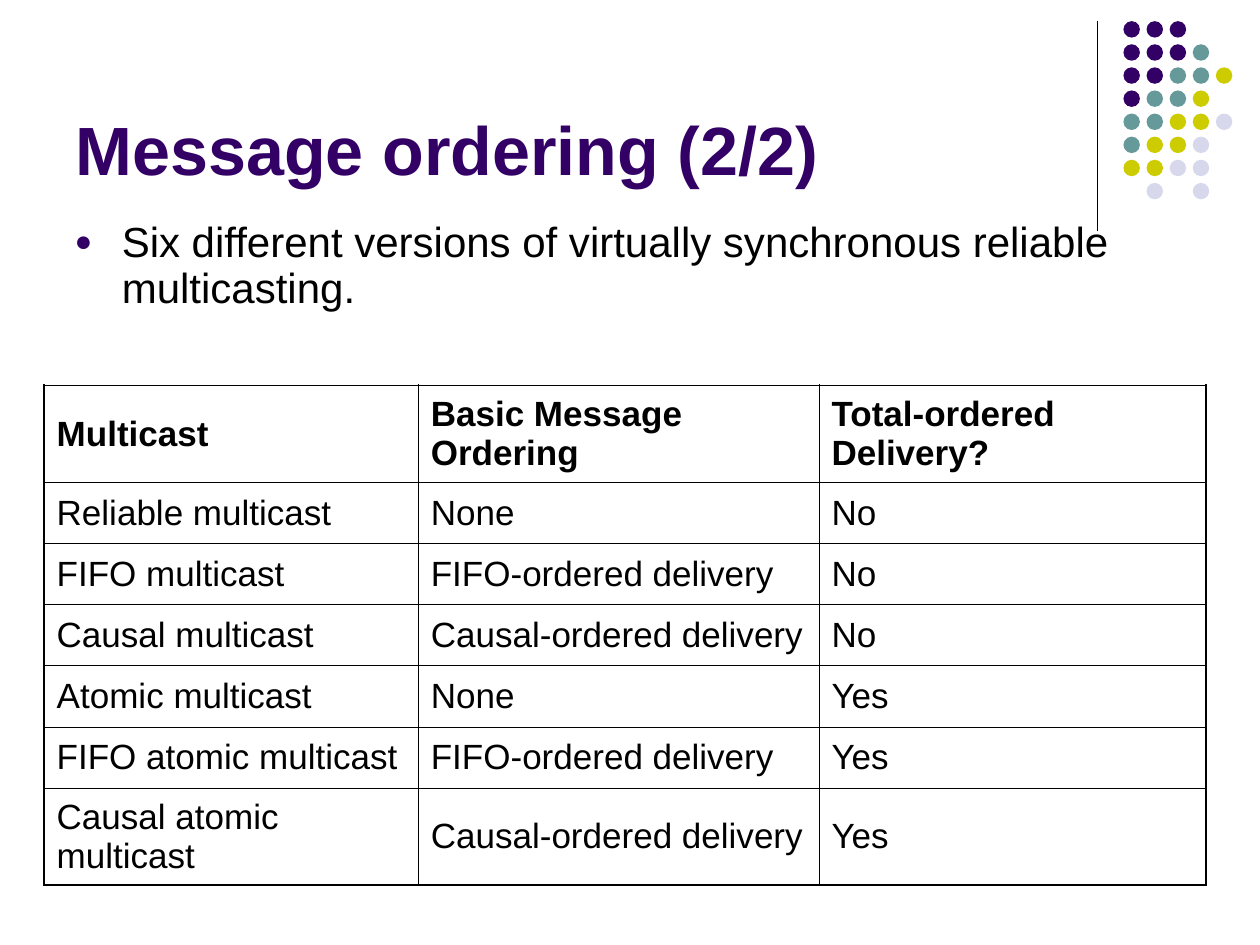
"""Build the message ordering slide with its dot motif, bullet and multicast table."""
import lxml.etree
import pptx
import pptx.dml.color
import pptx.enum.shapes
import pptx.enum.text
import pptx.oxml
import pptx.oxml.ns
import pptx.util

Pt = pptx.util.Pt
MIDDLE = pptx.enum.text.MSO_ANCHOR.MIDDLE
COLORS = {
    "purple": "330066",
    "teal": "669999",
    "yellow": "CCCC00",
    "lavender": "D8D8EC",
    "black": "000000",
}
DOT_COLORS = {"P": "purple", "T": "teal", "Y": "yellow", "L": "lavender"}
DOT_ROWS = ["PPP", "PPPT", "PPTTY", "PTTY", "TTYYL", "TYYL", "YYLL", " L L"]
TABLE_ROWS = [
    ["Multicast", "Basic Message Ordering", "Total-ordered Delivery?"],
    ["Reliable multicast", "None", "No"],
    ["FIFO multicast", "FIFO-ordered delivery", "No"],
    ["Causal multicast", "Causal-ordered delivery", "No"],
    ["Atomic multicast", "None", "Yes"],
    ["FIFO atomic multicast", "FIFO-ordered delivery", "Yes"],
    ["Causal atomic multicast", "Causal-ordered delivery", "Yes"],
]
COLUMN_WIDTHS = [213.8, 229, 221]
ROW_HEIGHTS = [55.6] + [34.9] * 5 + [55.6]


def write(tf, text, size, color, bold=False):
    tf.word_wrap = True
    p = tf.paragraphs[0]
    p.text = text
    font = p.runs[0].font
    font.name = "Arial"
    font.size = Pt(size)
    font.bold = bold
    font.color.rgb = pptx.dml.color.RGBColor.from_string(COLORS[color])
    return p


def set_border(cell, index, side, width):
    ln = pptx.oxml.parse_xml(
        f'<a:{side} {pptx.oxml.ns.nsdecls("a")} w="{Pt(width)}">'
        f'<a:solidFill><a:srgbClr val="{COLORS["black"]}"/></a:solidFill>'
        f'</a:{side}>'
    )
    cell._tc.get_or_add_tcPr().insert(index, ln)


prs = pptx.Presentation()
prs.slide_width, prs.slide_height = Pt(720), Pt(540)
s = prs.slides.add_slide(prs.slide_layouts[6])

line = s.shapes.add_connector(
    pptx.enum.shapes.MSO_CONNECTOR.STRAIGHT, Pt(627), Pt(12), Pt(627), Pt(132)
)
line.line.width = Pt(0.75)
line.line.color.rgb = pptx.dml.color.RGBColor.from_string(COLORS["black"])
lxml.etree.SubElement(line._element.spPr, pptx.oxml.ns.qn("a:effectLst"))

dots = s.shapes.add_group_shape()
for row, codes in enumerate(DOT_ROWS):
    for col, code in enumerate(codes):
        if code in DOT_COLORS:
            sp = dots.shapes.add_shape(
                pptx.enum.shapes.MSO_SHAPE.OVAL,
                Pt(642 + 13.2 * col), Pt(12.1 + 13.2 * row), Pt(9.4), Pt(9.4),
            )
            sp.shadow.inherit = False
            sp.fill.solid()
            sp.fill.fore_color.rgb = pptx.dml.color.RGBColor.from_string(
                COLORS[DOT_COLORS[code]]
            )
            sp.line.fill.background()

title = s.shapes.add_textbox(Pt(36), Pt(9.5), Pt(594), Pt(102))
title.text_frame.vertical_anchor = pptx.enum.text.MSO_ANCHOR.BOTTOM
write(title.text_frame, "Message ordering (2/2)", 39, "purple", True)

body = s.shapes.add_textbox(Pt(35.5), Pt(123), Pt(638), Pt(380))
p = write(
    body.text_frame,
    "Six different versions of virtually synchronous reliable multicasting.",
    24, "black",
)
p.line_spacing = 0.9
p.space_before = Pt(6)
pPr = p._p.get_or_add_pPr()
pPr.set("marL", str(Pt(27)))
pPr.set("indent", str(Pt(-27)))
for tag, attribute, value in [
    ("buClr", None, None),
    ("buSzPct", "val", "70000"),
    ("buFont", "typeface", "Arial"),
    ("buChar", "char", "●"),
]:
    bullet = lxml.etree.SubElement(pPr, pptx.oxml.ns.qn(f"a:{tag}"))
    if attribute:
        bullet.set(attribute, value)
    else:
        color = lxml.etree.SubElement(bullet, pptx.oxml.ns.qn("a:srgbClr"))
        color.set("val", COLORS["purple"])

last_row, last_col = len(TABLE_ROWS) - 1, len(COLUMN_WIDTHS) - 1
table = s.shapes.add_table(
    len(TABLE_ROWS), len(COLUMN_WIDTHS),
    Pt(25.2), Pt(220.2), Pt(sum(COLUMN_WIDTHS)), Pt(sum(ROW_HEIGHTS)),
).table
table.first_row = False
table.horz_banding = False
for col, width in enumerate(COLUMN_WIDTHS):
    table.columns[col].width = Pt(width)
for row, texts in enumerate(TABLE_ROWS):
    table.rows[row].height = Pt(ROW_HEIGHTS[row])
    for col, text in enumerate(texts):
        cell = table.cell(row, col)
        cell.fill.background()
        cell.vertical_anchor = MIDDLE
        cell.margin_left = cell.margin_right = Pt(7.2)
        cell.margin_top = cell.margin_bottom = Pt(3.6)
        p = write(cell.text_frame, text, 20, "black", row == 0)
        p.space_before = Pt(5)
        outer_edges = {
            "lnL": col == 0,
            "lnR": col == last_col,
            "lnT": row == 0,
            "lnB": row == last_row,
        }
        for index, (side, outer) in enumerate(outer_edges.items()):
            set_border(cell, index, side, 1.08 if outer else 0.45)

prs.save("out.pptx")
